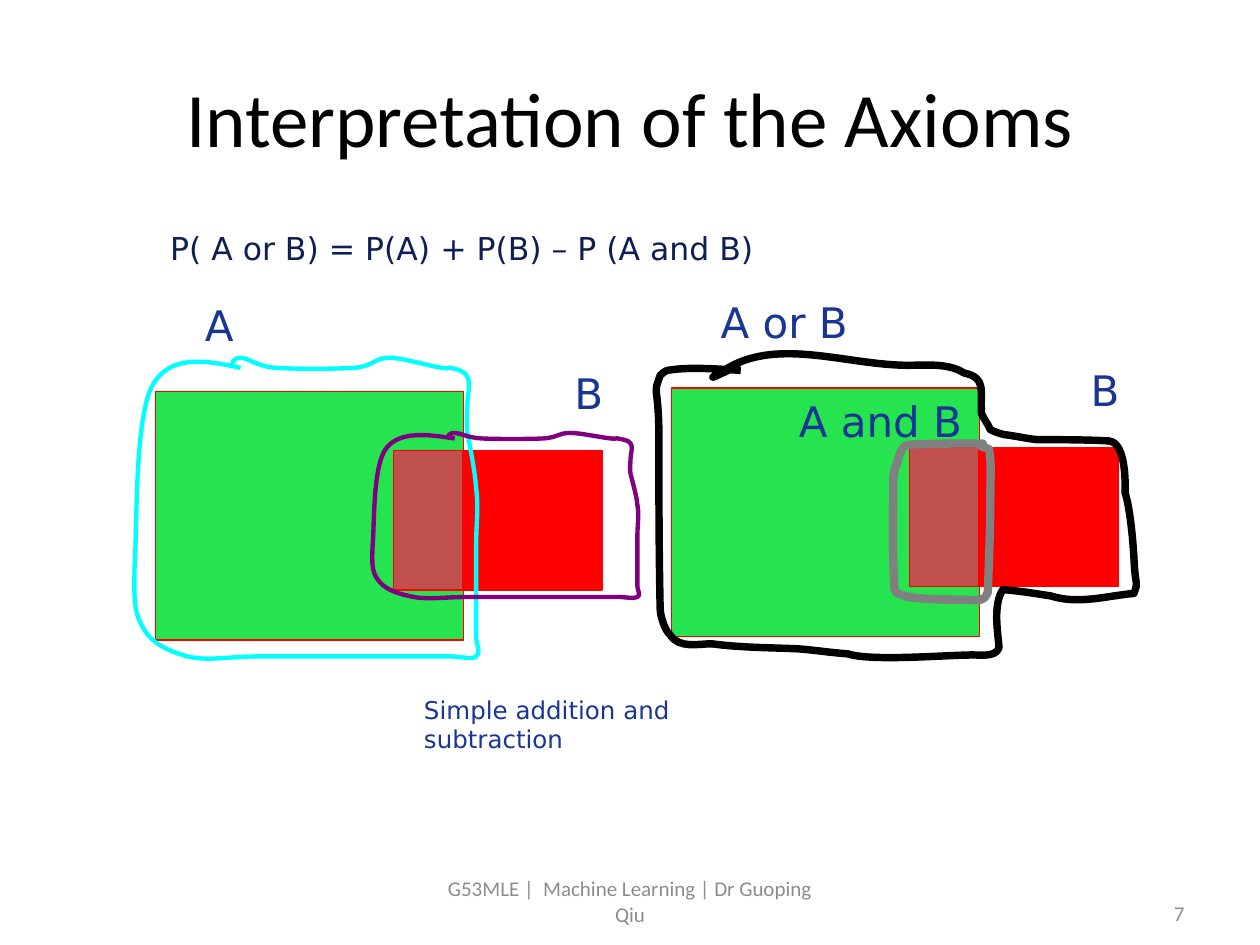
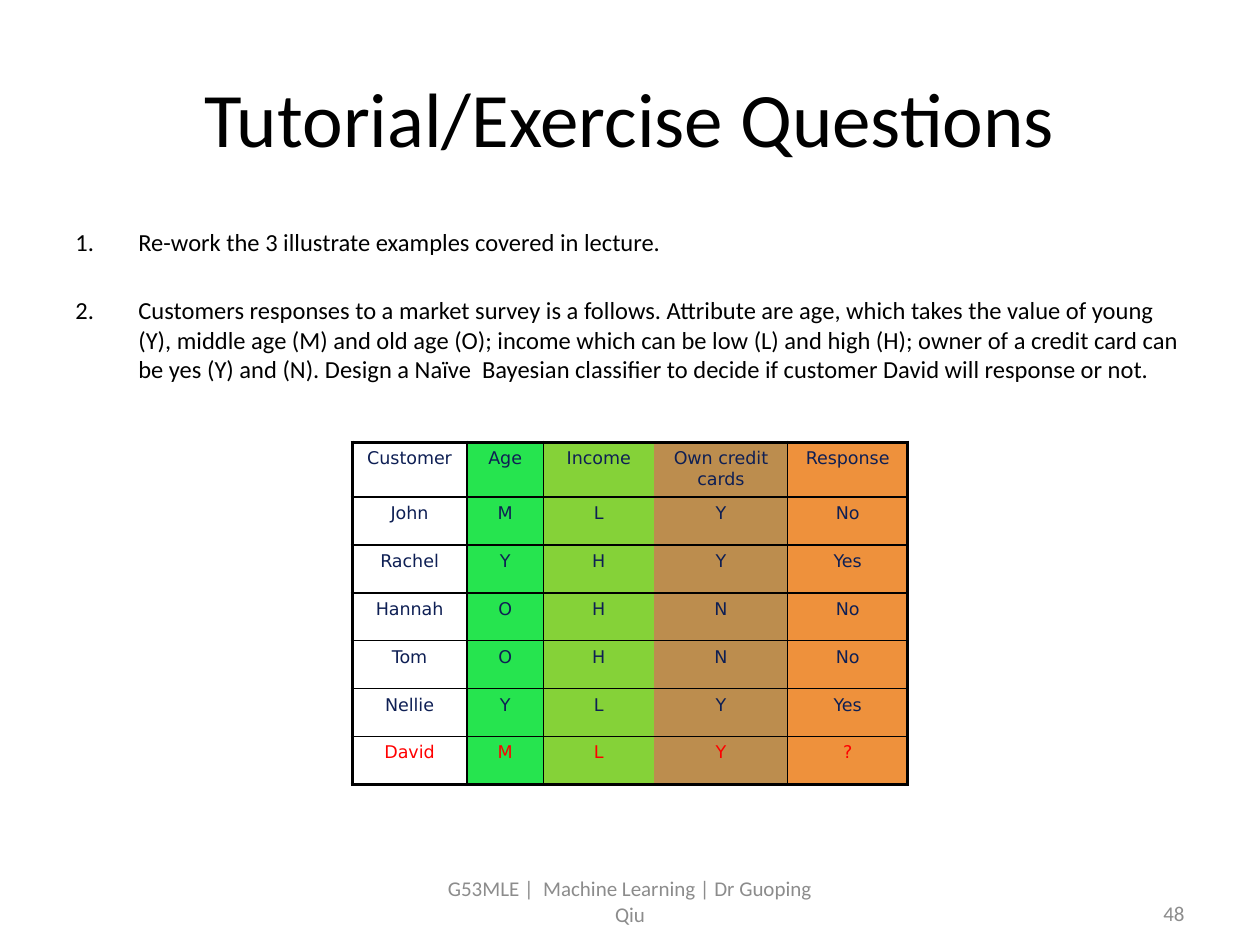
from lxml import etree
from pptx import Presentation
from pptx import util as u
from pptx.dml.color import RGBColor
from pptx.enum import shapes, text
from pptx.oxml import ns

Pt = u.Pt
BLACK, GREY, RED, GREEN, BROWN = "000000", "8C8C8C", "FF0000", "26E44F", "C0504D"
NAVY, BLUE = "0E1F54", "193693"
BODY, SANS = "Calibri", "DejaVu Sans"
LEFT, CENTER, RIGHT = text.PP_ALIGN.LEFT, text.PP_ALIGN.CENTER, text.PP_ALIGN.RIGHT
TOP, MIDDLE, BOTTOM = (text.MSO_ANCHOR.TOP, text.MSO_ANCHOR.MIDDLE,
                       text.MSO_ANCHOR.BOTTOM)

# ---- Content ----
FOOTER = "G53MLE |  Machine Learning | Dr Guoping Qiu"
FORMULA = "P( A or B) = P(A) + P(B) – P (A and B)"
CAPTION = "Simple addition and subtraction"

# Venn rectangles of the left diagram: left, top, width, height, fill
VENN = [
    (88.8, 223.7, 176, 142, GREEN),
    (224.8, 257.6, 39.7, 79.5, BROWN),
    (264.5, 257.6, 79.5, 79.5, RED),
]
RIGHT_SHIFT = (295, -2)
LABELS = [
    ("A", 110, 167.8, 31),
    ("B", 321.1, 206.6, 31),
    ("A or B", 404.7, 165.9, 89.3),
    ("B", 616.2, 204.5, 31),
    ("A and B", 449.4, 222.5, 108.7),
]

# Hand-drawn outlines: start, then Bezier triples, on a grid of 0.72 pt
GRID = 0.72
LOOP_BOX = (106, 281, 276, 244)
LOOP_B_BOX = (295, 342, 214, 134)
LOOP = [
    (191, 292),
    (163, 286, 135, 281, 121, 306), (107, 332, 109, 415, 107, 447),
    (106, 479, 107, 487, 114, 499), (121, 511, 134, 517, 149, 521),
    (164, 525, 183, 521, 205, 521), (227, 521, 260, 521, 281, 521),
    (302, 521, 317, 521, 330, 521), (342, 521, 349, 521, 358, 521),
    (366, 521, 375, 524, 378, 521), (382, 519, 378, 511, 378, 506),
    (378, 501, 378, 495, 378, 491), (378, 488, 378, 494, 378, 484),
    (378, 474, 378, 448, 378, 432), (378, 416, 380, 403, 378, 388),
    (377, 373, 373, 355, 371, 343), (370, 332, 371, 329, 371, 321),
    (371, 314, 374, 304, 371, 299), (369, 294, 361, 293, 358, 292),
    (354, 291, 359, 293, 351, 292), (342, 291, 320, 284, 309, 284),
    (297, 284, 296, 291, 281, 292), (266, 293, 234, 293, 219, 292),
    (204, 291, 197, 284, 191, 284), (185, 284, 184, 288, 184, 292),
]
UNION = [
    (588, 294),
    (570, 293, 547, 291, 530, 294), (528, 294, 524, 298, 524, 298),
    (518, 315, 522, 302, 523, 340), (523, 388, 523, 435, 524, 483),
    (524, 489, 528, 501, 532, 504), (539, 515, 554, 511, 565, 511),
    (587, 514, 610, 514, 633, 515), (647, 516, 659, 518, 673, 519),
    (691, 525, 751, 520, 768, 520), (775, 519, 790, 523, 793, 514),
    (792, 502, 788, 480, 796, 468), (809, 469, 821, 471, 834, 473),
    (856, 480, 878, 473, 900, 471), (904, 460, 901, 468, 900, 442),
    (899, 427, 897, 404, 893, 391), (893, 390, 895, 351, 880, 350),
    (861, 349, 842, 349, 823, 349), (814, 348, 806, 346, 797, 345),
    (793, 344, 790, 343, 786, 341), (784, 336, 781, 333, 779, 328),
    (778, 309, 783, 300, 765, 296), (753, 288, 734, 290, 721, 290),
    (673, 290, 619, 268, 578, 292), (543, 312, 597, 284, 574, 296),
]
OVERLAP = [
    (780, 352),
    (760, 352, 741, 352, 721, 353), (714, 353, 713, 368, 710, 372),
    (710, 374, 709, 377, 709, 379), (709, 409, 708, 438, 710, 468),
    (711, 474, 731, 475, 732, 475), (743, 476, 753, 476, 764, 476),
    (773, 476, 781, 479, 784, 470), (785, 443, 786, 417, 786, 391),
    (786, 380, 787, 368, 785, 357), (785, 355, 774, 355, 780, 352),
]

QUESTIONS = [
    "Re-work the 3 illustrate examples covered in lecture.",
    "Customers responses to a market survey is a follows. Attribute are age, "
    "which takes the value of young (Y), middle age (M) and old age (O); income "
    "which can be low (L) and high (H); owner of a credit card can be yes (Y) "
    "and (N). Design a Naïve  Bayesian classifier to decide if customer David "
    "will response or not.",
]
SURVEY = [
    ("Customer", "Age", "Income", "Own credit cards", "Response"),
    ("John", "M", "L", "Y", "No"),
    ("Rachel", "Y", "H", "Y", "Yes"),
    ("Hannah", "O", "H", "N", "No"),
    ("Tom", "O", "H", "N", "No"),
    ("Nellie", "Y", "L", "Y", "Yes"),
    ("David", "M", "L", "Y", "?"),
]
COL_WIDTHS = [65.5, 43.8, 63.2, 76.4, 68.4]
COL_FILLS = [None, GREEN, "85D238", "BC8D4E", "EE913C"]
HEAD_HEIGHT, ROW_HEIGHT = 30.6, 27.38


# ---- Helpers ----
def rgb(value):
    return RGBColor.from_string(value)


def put_text(tf, lines, size=18, font=BODY, color=BLACK, align=LEFT, before=0,
             gap=0):
    """Write one paragraph per line; gap is added above all but the first."""
    for i, line in enumerate(lines):
        p = tf.paragraphs[0] if i == 0 else tf.add_paragraph()
        p.alignment = align
        p.space_before = Pt(gap if i else before)
        r = p.add_run()
        r.text = line
        r.font.size, r.font.name = Pt(size), font
        r.font.color.rgb = rgb(color)


def add_text(s, box, *lines, anchor=TOP, wrap=True, insets=(7.2, 3.6, 7.2, 3.6),
             **fmt):
    tf = s.shapes.add_textbox(*map(Pt, box)).text_frame
    tf.word_wrap, tf.vertical_anchor = wrap, anchor
    if not wrap:
        tf.auto_size = text.MSO_AUTO_SIZE.SHAPE_TO_FIT_TEXT
    tf.margin_left, tf.margin_top, tf.margin_right, tf.margin_bottom = map(Pt, insets)
    put_text(tf, lines, **fmt)
    return tf


def add_slide(title, number):
    s = prs.slides.add_slide(prs.slide_layouts[6])
    add_text(s, (36, 21.6, 648, 90), title, size=44, align=CENTER, anchor=MIDDLE)
    add_text(s, (246, 500.5, 228, 28.8), FOOTER, size=12, color=GREY,
             align=CENTER, anchor=MIDDLE)
    add_text(s, (516, 500.5, 168, 28.8), str(number), size=12, color=GREY,
             align=RIGHT, anchor=BOTTOM, insets=(7.2, 0, 7.2, 0.5))
    return s


def add_venn(s, dx=0, dy=0):
    for x, y, w, h, fill in VENN:
        sp = s.shapes.add_shape(shapes.MSO_SHAPE.RECTANGLE,
                                Pt(x + dx), Pt(y + dy), Pt(w), Pt(h))
        sp.shadow.inherit = False
        sp.fill.solid()
        sp.fill.fore_color.rgb = rgb(fill)
        sp.line.color.rgb, sp.line.width = rgb(RED), Pt(0.75)


def points(outline):
    """Flatten the start and the Bezier triples into single points."""
    return [c[i:i + 2] for c in outline for i in range(0, len(c), 2)]


def fit(pts, old, new):
    """Stretch points from one box to another."""
    return [tuple(new[i] + (p[i] - old[i]) * new[i + 2] / old[i + 2] for i in (0, 1))
            for p in pts]


def draw_stroke(s, pts, color, width, close=False):
    pts = [(Pt(x * GRID), Pt(y * GRID)) for x, y in pts]
    builder = s.shapes.build_freeform(*pts[0])
    builder.add_line_segments(pts[1:], close=close)
    sp = builder.convert_to_shape()
    # Turn every three straight segments into one Bezier curve
    lines = list(sp._element.iter(ns.qn("a:lnTo")))
    for i in range(0, len(lines), 3):
        curve = etree.Element(ns.qn("a:cubicBezTo"))
        lines[i].addprevious(curve)
        for line in lines[i:i + 3]:
            curve.append(line[0])
            line.getparent().remove(line)
    sp.shadow.inherit = False
    sp.fill.background()
    sp.line.color.rgb, sp.line.width = rgb(color), Pt(width)


def set_borders(cell, widths):
    """Widths run left, right, top, bottom; 0 means no line."""
    tc_pr = cell._tc.get_or_add_tcPr()
    for i, (side, width) in enumerate(zip("LRTB", widths)):
        ln = etree.Element(ns.qn("a:ln" + side), w=str(Pt(width)))
        if width:
            fill = etree.SubElement(ln, ns.qn("a:solidFill"))
            etree.SubElement(fill, ns.qn("a:srgbClr"), val=BLACK)
        else:
            etree.SubElement(ln, ns.qn("a:noFill"))
        tc_pr.insert(i, ln)


def number_paragraphs(tf, indent):
    for p in tf.paragraphs:
        p_pr = p._p.get_or_add_pPr()
        p_pr.set("marL", str(Pt(indent)))
        p_pr.set("indent", str(-Pt(indent)))
        etree.SubElement(p_pr, ns.qn("a:buFont"), typeface="+mj-lt")
        etree.SubElement(p_pr, ns.qn("a:buAutoNum"), type="arabicPeriod")


prs = Presentation()
prs.slide_width, prs.slide_height = Pt(720), Pt(540)

# ---- Slide 1: two Venn diagrams ----
s = add_slide("Interpretation of the Axioms", 7)
add_text(s, (54, 102.25, 612, 378), FORMULA, size=18, font=SANS, color=NAVY,
         insets=(43.2, 28.5, 7.2, 3.6))
add_venn(s)
loop = points(LOOP)
draw_stroke(s, loop, "00FFFF", 2.5)
draw_stroke(s, fit(loop, LOOP_BOX, LOOP_B_BOX), "800080", 2.5)
add_venn(s, *RIGHT_SHIFT)
draw_stroke(s, points(UNION), BLACK, 4.25)
draw_stroke(s, points(OVERLAP), "808080", 4.75, close=True)
for label, x, y, w in LABELS:
    add_text(s, (x, y, w, 36), label, size=24, font=SANS, color=BLUE, wrap=False)
add_text(s, (235.2, 393.4, 238.3, 24), CAPTION, size=14, font=SANS, color=BLUE)

# ---- Slide 2: questions and survey table ----
s = add_slide("Tutorial/Exercise Questions", 48)
tf = add_text(s, (36, 126, 648, 356.4), *QUESTIONS, size=14, before=2.8, gap=22.4)
number_paragraphs(tf, 36)

n_rows, n_cols = len(SURVEY), len(COL_WIDTHS)
heights = [HEAD_HEIGHT] + [ROW_HEIGHT] * (n_rows - 1)
table = s.shapes.add_table(n_rows, n_cols, Pt(201.3), Pt(252.8),
                           Pt(sum(COL_WIDTHS)), Pt(sum(heights))).table
table.first_row = table.horz_banding = False
for col, width in zip(table.columns, COL_WIDTHS):
    col.width = Pt(width)
for i, row in enumerate(SURVEY):
    table.rows[i].height = Pt(heights[i])
    for j, value in enumerate(row):
        cell = table.cell(i, j)
        put_text(cell.text_frame, [value], size=10, font=SANS, align=CENTER,
                 before=2, color=RED if i == n_rows - 1 else NAVY)
        if COL_FILLS[j]:
            cell.fill.solid()
            cell.fill.fore_color.rgb = rgb(COL_FILLS[j])
        else:
            cell.fill.background()
        # Thick frame, thin grid, no line between income and credit cards
        set_borders(cell, (2.25 if j == 0 else 0 if j == 3 else 1,
                           2.25 if j == n_cols - 1 else 0 if j == 2 else 1,
                           2.25 if i == 0 else 1,
                           2.25 if i == n_rows - 1 else 1))

prs.save("out.pptx")
